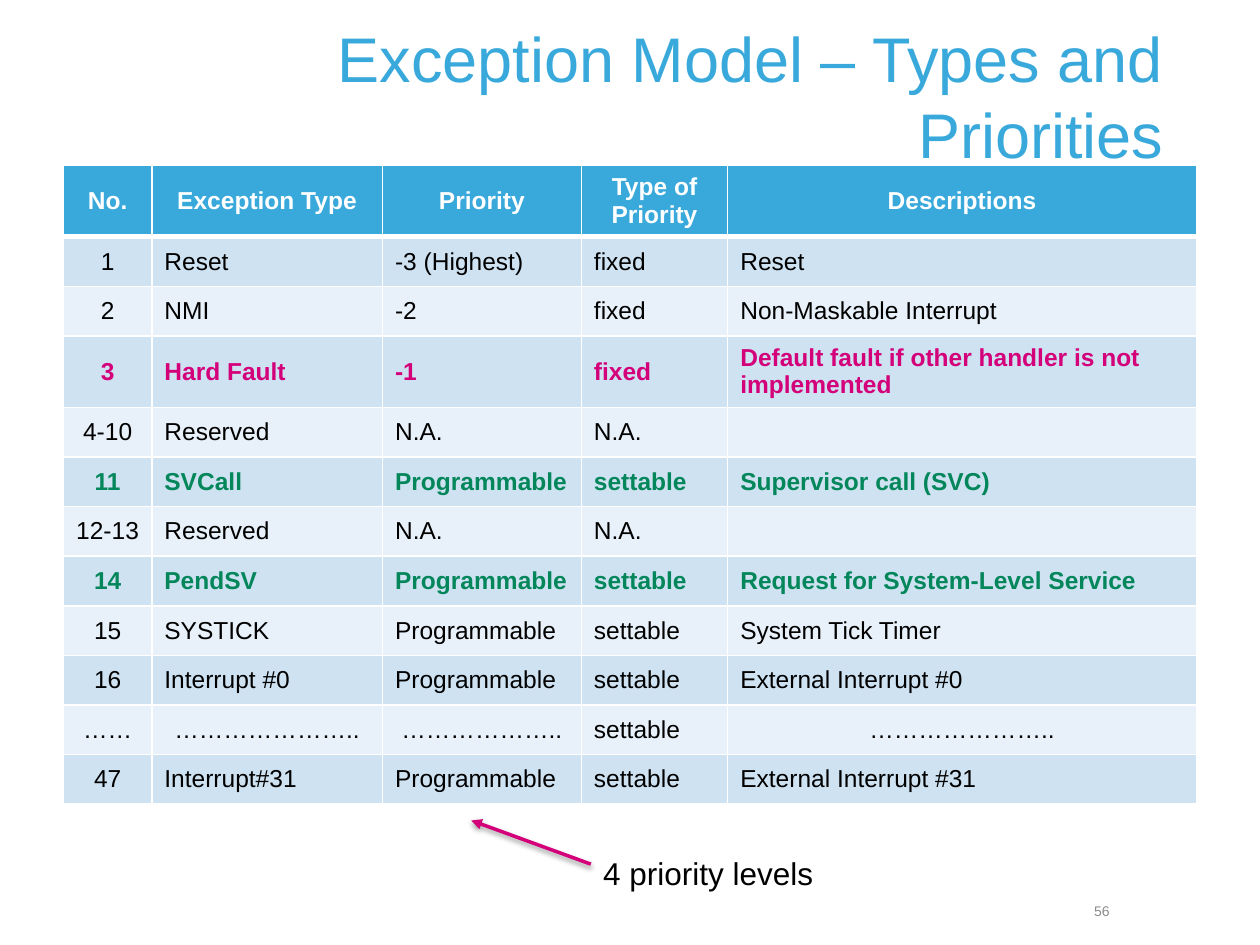
import lxml.etree
import pptx
import pptx.dml.color
import pptx.enum.shapes
import pptx.enum.text
import pptx.oxml.ns
import pptx.util

Cm = pptx.util.Cm
Pt = pptx.util.Pt
RGBColor = pptx.dml.color.RGBColor
ALIGN = pptx.enum.text.PP_ALIGN
MIDDLE = pptx.enum.text.MSO_ANCHOR.MIDDLE
AUTO_SIZE = pptx.enum.text.MSO_AUTO_SIZE
qn = pptx.oxml.ns.qn

BLUE = RGBColor(0x39, 0xA9, 0xDC)
DARK_BAND = RGBColor(0xCE, 0xE2, 0xF2)
LIGHT_BAND = RGBColor(0xE8, 0xF1, 0xF9)
MAGENTA = RGBColor(0xD4, 0x00, 0x7A)
GREEN = RGBColor(0x04, 0x86, 0x5B)
GRAY = RGBColor(0x8C, 0x8C, 0x8C)
BLACK = RGBColor(0, 0, 0)
WHITE = RGBColor(0xFF, 0xFF, 0xFF)

FONT = "Arial"
COLUMN_WIDTHS = [1.78, 4.65, 4.01, 2.95, 9.45]
ROW_HEIGHT = 1
TWO_LINE_HEIGHT = 1.35
TWO_LINE_ROWS = {0, 3}
HIGHLIGHTS = {"3": MAGENTA, "11": GREEN, "14": GREEN}
EXCEPTIONS = [
    ["No.", "Exception Type", "Priority", "Type of Priority", "Descriptions"],
    ["1", "Reset", "-3 (Highest)", "fixed", "Reset"],
    ["2", "NMI", "-2", "fixed", "Non-Maskable Interrupt"],
    ["3", "Hard Fault", "-1", "fixed", "Default fault if other handler is not implemented"],
    ["4-10", "Reserved", "N.A.", "N.A.", ""],
    ["11", "SVCall", "Programmable", "settable", "Supervisor call (SVC)"],
    ["12-13", "Reserved", "N.A.", "N.A.", ""],
    ["14", "PendSV", "Programmable", "settable", "Request for System-Level Service"],
    ["15", "SYSTICK", "Programmable", "settable", "System Tick Timer"],
    ["16", "Interrupt #0", "Programmable", "settable", "External Interrupt #0"],
    ["……", "…………………..", "………………..", "settable", "………………….."],
    ["47", "Interrupt#31", "Programmable", "settable", "External Interrupt #31"],
]


def write_text(paragraph, text, size, color, alignment, bold=False):
    paragraph.text = text
    paragraph.alignment = alignment
    font = paragraph.font
    font.name = FONT
    font.size = Pt(size)
    font.bold = bold
    font.color.rgb = color


def add_text(slide, box, text, size, color, alignment=ALIGN.LEFT):
    shape = slide.shapes.add_textbox(*map(Cm, box))
    frame = shape.text_frame
    frame.word_wrap = True
    write_text(frame.paragraphs[0], text, size, color, alignment)
    return frame


def add_border(cell, side, width):
    properties = cell._tc.get_or_add_tcPr()
    line = lxml.etree.SubElement(properties, qn(f"a:ln{side}"), w=str(Pt(width)))
    fill = lxml.etree.SubElement(line, qn("a:solidFill"))
    lxml.etree.SubElement(fill, qn("a:srgbClr"), val=str(WHITE))


def format_cell(cell, text, row, color, bold, centered):
    widths = {"L": 1, "R": 1, "T": 3 if row == 1 else 1, "B": 3 if row == 0 else 1}
    for side, width in widths.items():
        add_border(cell, side, width)
    cell.fill.solid()
    cell.fill.fore_color.rgb = BLUE if row == 0 else DARK_BAND if row % 2 else LIGHT_BAND
    cell.vertical_anchor = MIDDLE
    alignment = ALIGN.CENTER if centered else ALIGN.LEFT
    write_text(cell.text_frame.paragraphs[0], text, 14, color, alignment, bold)


def add_exception_table(slide):
    heights = [TWO_LINE_HEIGHT if row in TWO_LINE_ROWS else ROW_HEIGHT
               for row in range(len(EXCEPTIONS))]
    table = slide.shapes.add_table(
        len(EXCEPTIONS), len(COLUMN_WIDTHS), Cm(1.28), Cm(3.33),
        Cm(sum(COLUMN_WIDTHS)), Cm(sum(heights))).table
    for column, width in zip(table.columns, COLUMN_WIDTHS):
        column.width = Cm(width)
    for row, values in enumerate(EXCEPTIONS):
        table.rows[row].height = Cm(heights[row])
        header = row == 0
        color = WHITE if header else HIGHLIGHTS.get(values[0], BLACK)
        bold = header or values[0] in HIGHLIGHTS
        for column, text in enumerate(values):
            centered = header or column == 0 or text.startswith("…")
            format_cell(table.cell(row, column), text, row, color, bold, centered)


def add_arrow(slide, start, end):
    connector = slide.shapes.add_connector(
        pptx.enum.shapes.MSO_CONNECTOR.STRAIGHT, *map(Cm, start + end))
    connector.line.color.rgb = MAGENTA
    connector.line.width = Pt(2)
    line = connector.line._get_or_add_ln()
    lxml.etree.SubElement(line, qn("a:tailEnd"), type="triangle")
    effects = lxml.etree.SubElement(connector._element.spPr, qn("a:effectLst"))
    shadow = lxml.etree.SubElement(
        effects, qn("a:outerShdw"), blurRad=str(Pt(3.1)), dist=str(Pt(1.6)),
        dir="5400000", rotWithShape="0")
    color = lxml.etree.SubElement(shadow, qn("a:srgbClr"), val=str(BLACK))
    lxml.etree.SubElement(color, qn("a:alpha"), val="38000")


def main():
    presentation = pptx.Presentation()
    presentation.slide_width = Cm(25.4)
    presentation.slide_height = Cm(19.05)
    slide = presentation.slides.add_slide(presentation.slide_layouts[6])

    title = add_text(slide, (1.27, 0.33, 22.43, 3.18),
                     "Exception Model – Types and Priorities", 36, BLUE, ALIGN.RIGHT)
    title.vertical_anchor = MIDDLE

    add_exception_table(slide)

    page_number = add_text(slide, (12.9, 18.19, 9.47, 0.33), "56", 8, GRAY, ALIGN.RIGHT)
    page_number.vertical_anchor = MIDDLE
    page_number.margin_left = page_number.margin_right = 0
    page_number.margin_top = page_number.margin_bottom = 0

    add_arrow(slide, (11.91, 17.42), (9.5, 16.54))
    label = add_text(slide, (11.91, 17.09, 4.78, 1.02), "4 priority levels", 18, BLACK)
    label.word_wrap = False
    label.auto_size = AUTO_SIZE.SHAPE_TO_FIT_TEXT

    presentation.save("out.pptx")


if __name__ == "__main__":
    main()
